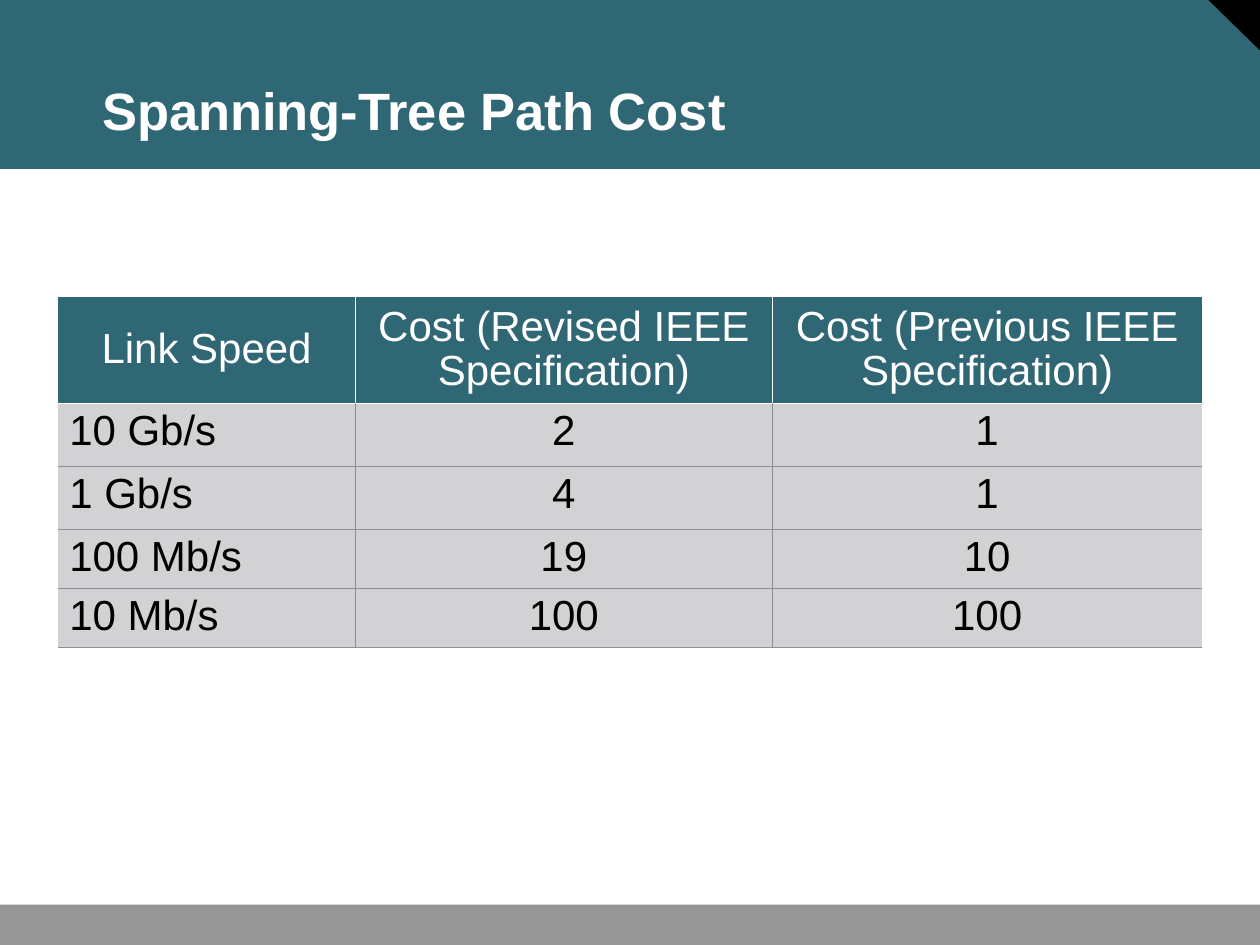
from lxml import etree
from pptx import Presentation
from pptx.dml.color import RGBColor
from pptx.enum.shapes import MSO_SHAPE
from pptx.enum.text import MSO_ANCHOR, PP_ALIGN
from pptx.oxml.ns import qn
from pptx.util import Inches, Pt

RECT, CORNER = MSO_SHAPE.RECTANGLE, MSO_SHAPE.RIGHT_TRIANGLE
LEFT, CENTER = PP_ALIGN.LEFT, PP_ALIGN.CENTER
TOP, MIDDLE, BOTTOM = MSO_ANCHOR.TOP, MSO_ANCHOR.MIDDLE, MSO_ANCHOR.BOTTOM

COLORS = {"teal": "306774", "black": "000000", "white": "FFFFFF",
          "footer": "969696", "cell": "D2D2D4", "rule": "8E8E95"}
SLIDE_W, SLIDE_H = 10, 7.5
FONT = "Arial"

TITLE = "Spanning-Tree Path Cost"
COSTS = [
    ("Link Speed", "Cost (Revised IEEE Specification)", "Cost (Previous IEEE Specification)"),
    ("10 Gb/s", "2", "1"),
    ("1 Gb/s", "4", "1"),
    ("100 Mb/s", "19", "10"),
    ("10 Mb/s", "100", "100"),
]
COLUMN_WIDTHS = [2.36, 3.31, 3.41]
ROW_HEIGHTS = [0.84, 0.5, 0.5, 0.47, 0.47]
TABLE_LEFT, TABLE_TOP = 0.46, 2.36

# Preset, left, top, width, height, rotation, color
DECOR = [
    (RECT, 0, 0, SLIDE_W, 1.34, 0, "teal"),
    (CORNER, SLIDE_W - 0.42, -0.01, 0.42, 0.41, 180, "black"),
    (RECT, 0, SLIDE_H - 0.32, SLIDE_W, 0.32, 0, "footer"),
]


def rgb(name):
    return RGBColor.from_string(COLORS[name])


def apply(target, values):
    for attribute, value in values.items():
        setattr(target, attribute, value)


def write(frame, text, size, color, bold, align, spacing):
    frame.text = text
    paragraph = frame.paragraphs[0]
    apply(paragraph, {"alignment": align, "line_spacing": spacing})
    font = paragraph.runs[0].font
    apply(font, {"name": FONT, "size": Pt(size), "bold": bold})
    font.color.rgb = rgb(color)


def set_borders(cell, borders):
    """Draw the sides L, R, T, B in the given colors; None hides a side."""
    properties = cell._tc.get_or_add_tcPr()
    for index, side in enumerate("LRTB"):
        color = borders[side]
        line = etree.Element(qn(f"a:ln{side}"), w=str(Pt(0.75)))
        if color:
            fill = etree.SubElement(line, qn("a:solidFill"))
            etree.SubElement(fill, qn("a:srgbClr"), val=COLORS[color])
        else:
            etree.SubElement(line, qn("a:noFill"))
        properties.insert(index, line)


def add_decor(slide):
    for preset, left, top, width, height, rotation, color in DECOR:
        band = slide.shapes.add_shape(preset, *map(Inches, (left, top, width, height)))
        band.rotation = rotation
        band.shadow.inherit = False
        band.fill.solid()
        band.fill.fore_color.rgb = rgb(color)
        band.line.fill.background()


def add_title(slide):
    title = slide.shapes.title
    slide.shapes._spTree.append(title._element)  # in front of the header band
    apply(title, {"left": Inches(0.72), "top": Inches(0.25),
                  "width": Inches(8.91), "height": Inches(0.92)})
    frame = title.text_frame
    apply(frame, {"vertical_anchor": BOTTOM, "word_wrap": True,
                  "margin_left": Inches(0.09), "margin_right": Inches(0.09),
                  "margin_top": Inches(0.04), "margin_bottom": Inches(0.04)})
    write(frame, TITLE, 30, "white", True, LEFT, 0.9)


def add_cost_table(slide):
    last_row, last_column = len(COSTS) - 1, len(COLUMN_WIDTHS) - 1
    table = slide.shapes.add_table(
        len(COSTS), len(COLUMN_WIDTHS), Inches(TABLE_LEFT), Inches(TABLE_TOP),
        Inches(sum(COLUMN_WIDTHS)), Inches(sum(ROW_HEIGHTS))).table
    table.horz_banding = False
    for column, width in zip(table.columns, COLUMN_WIDTHS):
        column.width = Inches(width)
    for row, height in zip(table.rows, ROW_HEIGHTS):
        row.height = Inches(height)

    for r, values in enumerate(COSTS):
        header = r == 0
        inner = "white" if header else "rule"
        for c, text in enumerate(values):
            cell = table.cell(r, c)
            side = Inches(0.06 if header and c == last_column else 0.09)
            apply(cell, {"vertical_anchor": MIDDLE if header else TOP,
                         "margin_left": side, "margin_right": side,
                         "margin_top": Inches(0.05), "margin_bottom": Inches(0.05)})
            write(cell.text_frame, text, 24, "white" if header else "black", False,
                  CENTER if header or c else LEFT, 0.95)
            cell.fill.solid()
            cell.fill.fore_color.rgb = rgb("teal" if header else "cell")
            set_borders(cell, {
                "L": inner if c else None,
                "R": inner if c < last_column else None,
                "T": None if header else "white" if r == 1 else "rule",
                "B": inner,
            })


def main():
    deck = Presentation()
    apply(deck, {"slide_width": Inches(SLIDE_W), "slide_height": Inches(SLIDE_H)})
    slide = deck.slides.add_slide(deck.slide_layouts.get_by_name("Title Only"))
    add_decor(slide)
    add_title(slide)
    add_cost_table(slide)
    deck.save("out.pptx")


if __name__ == "__main__":
    main()
